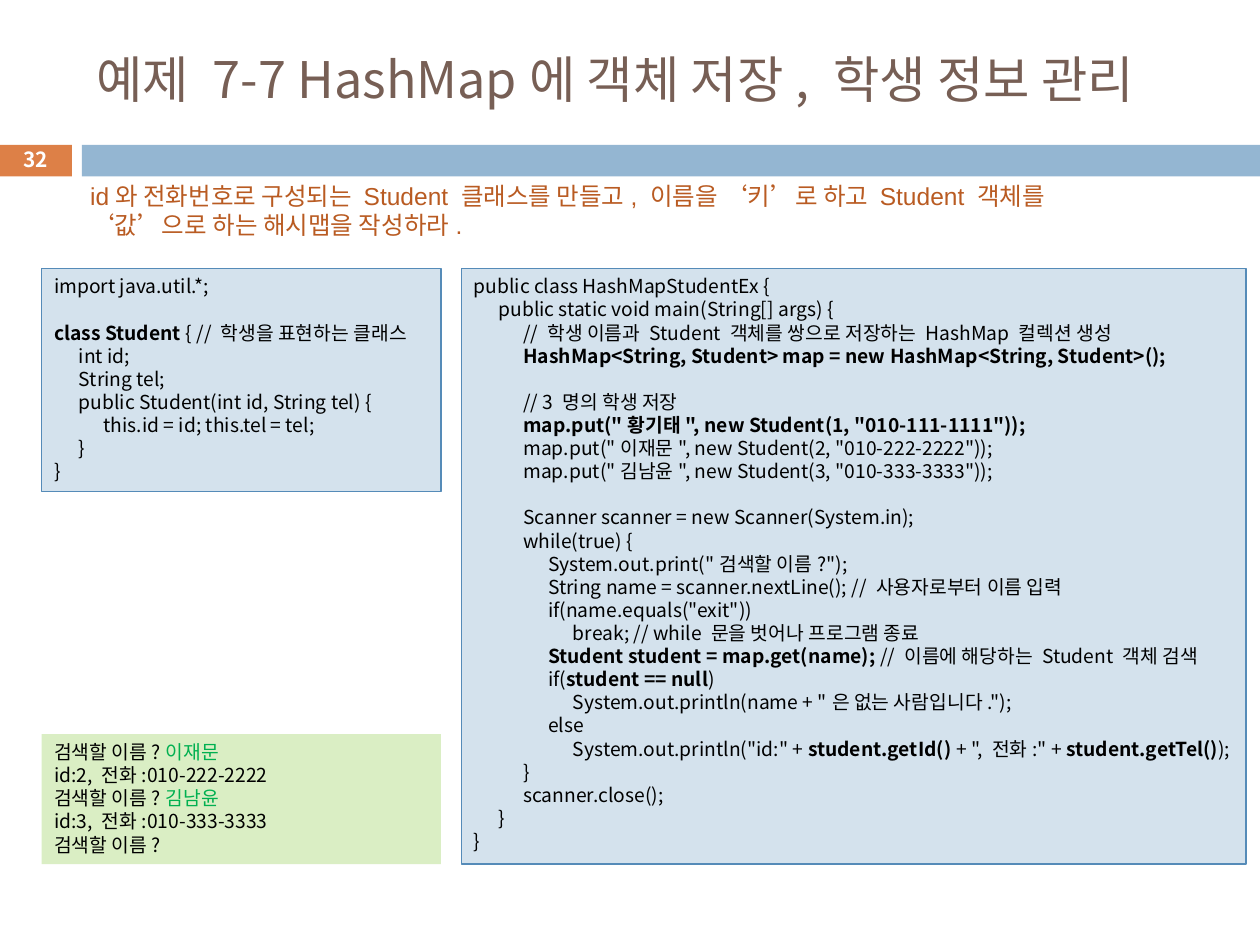
from lxml import etree
from pptx import Presentation
from pptx.dml.color import RGBColor
from pptx.enum import shapes, text
from pptx.oxml.ns import qn
from pptx.util import Cm, Pt

THEME = {
    "sans": "Noto Sans CJK KR", "arial": "Arial",
    "title": "775F55", "task": "B95B22", "ink": "000000",
    "white": "FFFFFF", "green": "00B050",
    "orange": "DD8047", "blue": "94B6D2",
    "code": "D4E2ED", "edge": "558BB8", "result": "DAEEC4",
    "head_pt": 28.8, "task_pt": 14, "code_pt": 11, "page_pt": 11.9,
    "edge_pt": 0.75, "code_gap": 13.2, "task_gap": 16.5,
}
MARK = "**"
TAB = 0.5

TITLE = [(0, "예제 7-7 HashMap에 객체 저장, 학생 정보 관리")]
PAGE = [(0, "32")]
TASK = [(0, "id와 전화번호로 구성되는 Student 클래스를 만들고, 이름을 ‘키’로 하고 "
            "Student 객체를 ‘값’으로 하는 해시맵을 작성하라.")]
CLASS = [
    (0, "import java.util.*;"),
    (0, ""),
    (0, "**class Student **{ // 학생을 표현하는 클래스"),
    (1, "int id;"),
    (1, "String tel;"),
    (1, "public Student(int id, String tel) {"),
    (2, "this.id = id; this.tel = tel;"),
    (1, "}"),
    (0, "}"),
]
MAIN = [
    (0, "public class HashMapStudentEx {"),
    (1, "public static void main(String[] args) {"),
    (2, "// 학생 이름과 Student 객체를 쌍으로 저장하는 HashMap 컬렉션 생성"),
    (2, "**HashMap<String, Student> map = new HashMap<String, Student>();"),
    (0, ""),
    (2, "// 3 명의 학생 저장"),
    (2, '**map.put("황기태", new Student(1, "010-111-1111"));'),
    (2, 'map.put("이재문", new Student(2, "010-222-2222"));'),
    (2, 'map.put("김남윤", new Student(3, "010-333-3333"));'),
    (0, ""),
    (2, "Scanner scanner = new Scanner(System.in);"),
    (2, "while(true) {"),
    (3, 'System.out.print("검색할 이름?");'),
    (3, "String name = scanner.nextLine(); // 사용자로부터 이름 입력"),
    (3, 'if(name.equals("exit"))'),
    (4, "break; // while 문을 벗어나 프로그램 종료"),
    (3, "**Student student = map.get(name); **// 이름에 해당하는 Student 객체 검색"),
    (3, "if(**student == null**)"),
    (4, 'System.out.println(name + "은 없는 사람입니다.");'),
    (3, "else"),
    (4, 'System.out.println("id:" + **student.getId() **+ ", 전화:" + **student.getTel()**);'),
    (2, "}"),
    (2, "scanner.close();"),
    (1, "}"),
    (0, "}"),
]
RESULT = [
    (0, "검색할 이름?**이재문"),
    (0, "id:2, 전화:010-222-2222"),
    (0, "검색할 이름?**김남윤"),
    (0, "id:3, 전화:010-333-3333"),
    (0, "검색할 이름?"),
]

LEFT, TOP, BASE = 0.84, 5.41, 17.42
SIDE, GAP, WIDE = 8.05, 0.41, 15.82
RIGHT = LEFT + SIDE + GAP
LOW = 2.62

plain = {"size": THEME["code_pt"], "name": THEME["sans"], "color": THEME["ink"], "bold": False}
strong = {**plain, "bold": True}
typed = {**plain, "color": THEME["green"]}
head = {**plain, "size": THEME["head_pt"], "color": THEME["title"]}
badge = {**strong, "size": THEME["page_pt"], "color": THEME["white"]}
task = {**plain, "size": THEME["task_pt"], "name": THEME["arial"], "color": THEME["task"]}


def style(font, form):
    for key, val in form.items():
        if key == "color":
            font.color.rgb = RGBColor.from_string(val)
        else:
            setattr(font, key, Pt(val) if key == "size" else val)


def write(shape, lines, form, accent=None, gap=None, anchor="TOP", align="LEFT"):
    frame = shape.text_frame
    frame.word_wrap = True
    frame.vertical_anchor = getattr(text.MSO_ANCHOR, anchor)
    depth = max(level for level, _ in lines)
    for row, (level, line) in enumerate(lines):
        para = frame.add_paragraph() if row else frame.paragraphs[0]
        para.alignment = getattr(text.PP_ALIGN, align)
        if depth:
            stops = etree.SubElement(para._p.get_or_add_pPr(), qn("a:tabLst"))
            for step in range(1, depth + 1):
                etree.SubElement(stops, qn("a:tab"), pos=str(Cm(TAB * step)), algn="l")
        if gap:
            para.line_spacing = Pt(gap)
        style(para.font, form)
        for part, words in enumerate(("\t" * level + line).split(MARK)):
            if words:
                run = para.add_run()
                run.text = words
                style(run.font, accent if part % 2 else form)
                east = etree.SubElement(run._r.get_or_add_rPr(), qn("a:ea"))
                east.set("typeface", THEME["sans"])


def panel(slide, spot, fill, edge=None):
    shape = slide.shapes.add_shape(shapes.MSO_SHAPE.RECTANGLE, *map(Cm, spot))
    shape.shadow.inherit = False
    shape.fill.solid()
    shape.fill.fore_color.rgb = RGBColor.from_string(THEME[fill])
    if edge:
        shape.line.color.rgb = RGBColor.from_string(THEME[edge])
        shape.line.width = Pt(THEME["edge_pt"])
    else:
        shape.line.fill.background()
    return shape


def label(slide, spot, lines, form, **opts):
    write(slide.shapes.add_textbox(*map(Cm, spot)), lines, form, **opts)


def main():
    deck = Presentation()
    deck.slide_width, deck.slide_height = Cm(25.4), Cm(19.05)
    slide = deck.slides.add_slide(deck.slide_layouts[6])

    panel(slide, (-0.02, 2.92, 1.47, 0.64), "orange")
    panel(slide, (1.65, 2.92, 23.75, 0.64), "blue")
    label(slide, (1.7, 0.64, 22.66, 1.88), TITLE, head, anchor="MIDDLE")
    label(slide, (-0.02, 2.87, 1.47, 0.69), PAGE, badge, anchor="MIDDLE", align="CENTER")
    label(slide, (1.57, 3.53, 22.12, 1.45), TASK, task, gap=THEME["task_gap"])

    boxes = [
        ((LEFT, TOP, SIDE, 4.5), "code", "edge", CLASS, strong),
        ((LEFT, BASE - LOW, SIDE, LOW), "result", None, RESULT, typed),
        ((RIGHT, TOP, WIDE, BASE - TOP), "code", "edge", MAIN, strong),
    ]
    for spot, fill, edge, lines, accent in boxes:
        write(panel(slide, spot, fill, edge), lines, plain, accent, THEME["code_gap"])

    deck.save("out.pptx")


if __name__ == "__main__":
    main()
